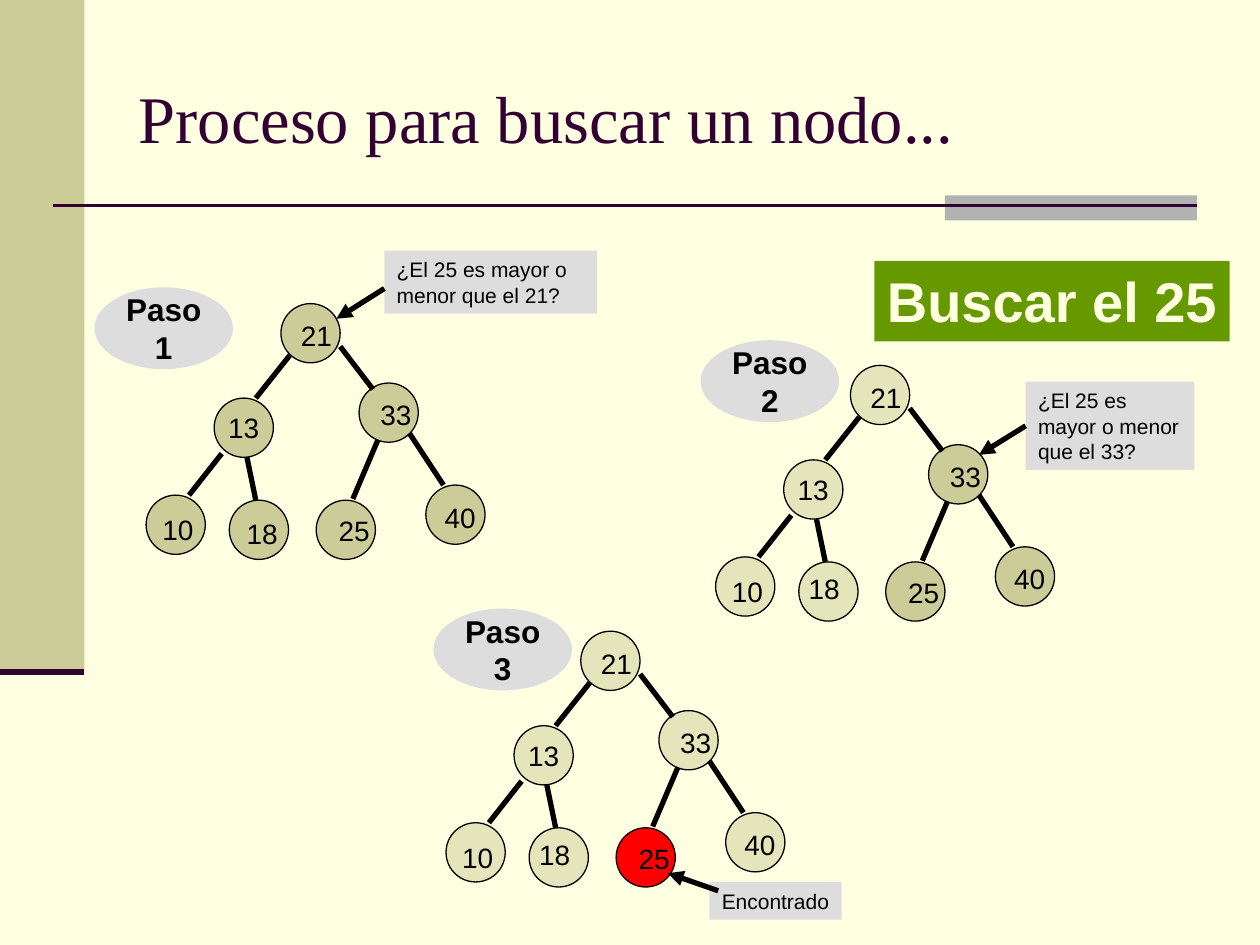
from dataclasses import dataclass, field
from typing import Optional

from pptx import Presentation
from pptx.dml.color import RGBColor
from pptx.enum.shapes import MSO_CONNECTOR as Connector, MSO_SHAPE as Preset
from pptx.enum.text import MSO_ANCHOR as Anchor, PP_ALIGN as Align
from pptx.oxml.ns import qn
from pptx.util import Inches, Pt
from lxml.etree import SubElement

CREAM = RGBColor(0xFF, 0xFF, 0xE1)
KHAKI = RGBColor(0xCC, 0xCC, 0x99)
PLUM = RGBColor(0x33, 0x00, 0x33)
GRAY = RGBColor(0xB2, 0xB2, 0xB2)
PALE_GRAY = RGBColor(0xDD, 0xDD, 0xDD)
GREEN = RGBColor(0x66, 0x99, 0x00)
RED = RGBColor(0xFF, 0x00, 0x00)
BLACK = RGBColor(0x00, 0x00, 0x00)
NODE_SIZE = 0.47
LABEL_HEIGHT = 0.37

Point = tuple[float, float]
Box = tuple[float, float, float, float]


@dataclass(frozen=True)
class Node:
    value: int
    offset: Point
    label_offset: Optional[Point] = None
    label_width: float = 0.54


@dataclass(frozen=True)
class Step:
    number: int
    root: Point
    badge: Point
    callout: Box
    question: str
    arrow: tuple[Point, Point]
    arrow_joined: bool = False
    active: frozenset[int] = frozenset()
    found: Optional[int] = None
    label_shifts: dict[int, Point] = field(default_factory=dict)


NODES = [
    Node(21, (0, 0), (0.06, 0.07), 0.47),
    Node(13, (-0.53, 0.75)),
    Node(33, (0.62, 0.63), (0.69, 0.7), 0.6),
    Node(10, (-1.07, 1.52), (-1.04, 1.61)),
    Node(18, (-0.41, 1.56), (-0.43, 1.59)),
    Node(25, (0.28, 1.56), (0.36, 1.62)),
    Node(40, (1.15, 1.44), (1.2, 1.51), 0.47),
]
EDGES = [
    ((0.07, 0.41), (-0.2, 0.75)),
    ((-0.47, 1.19), (-0.73, 1.52)),
    ((0.47, 0.34), (0.73, 0.68)),
    ((1.02, 1.03), (1.29, 1.44)),
    ((-0.27, 1.22), (-0.2, 1.56)),
    ((0.77, 1.08), (0.57, 1.55)),
]
STEPS = [
    Step(1, (2.23, 2.41), (0.75, 2.28), (3.05, 1.99, 1.69, 0.5),
         "¿El 25 es mayor o menor que el 21?", ((3.05, 2.29), (2.67, 2.53)),
         active=frozenset(node.value for node in NODES),
         label_shifts={18: (0.06, 0.05)}),
    Step(2, (6.75, 2.9), (5.56, 2.7), (8.14, 3.03, 1.34, 0.7),
         "¿El 25 es mayor o menor que el 33?", ((8.14, 3.37), (7.77, 3.61)),
         arrow_joined=True, active=frozenset({33, 25, 40})),
    Step(3, (4.61, 5.01), (3.44, 4.83), (5.63, 7, 1.05, 0.3),
         "Encontrado", ((5.7, 7.07), (5.3, 6.93)), found=25),
]


def moved(point: Point, offset: Point) -> Point:
    return point[0] + offset[0], point[1] + offset[1]


def add_preset(shapes, preset: Preset, box: Box, fill: RGBColor,
               outlined: bool = False, alpha: Optional[int] = None):
    shape = shapes.add_shape(preset, *map(Inches, box))
    shape.shadow.inherit = False
    shape.fill.solid()
    shape.fill.fore_color.rgb = fill
    if alpha is not None:
        color = shape.element.spPr.find(f"{qn('a:solidFill')}/{qn('a:srgbClr')}")
        SubElement(color, qn("a:alpha"), val=str(alpha * 1000))
    if outlined:
        shape.line.color.rgb = BLACK
        shape.line.width = Pt(0.75)
    else:
        shape.line.fill.background()
    return shape


def add_line(shapes, start: Point, end: Point, color: RGBColor = BLACK,
             width: float = 3, arrow: bool = False):
    line = shapes.add_connector(Connector.STRAIGHT, *map(Inches, (*start, *end)))
    line.line.color.rgb = color
    line.line.width = Pt(width)
    if arrow:
        SubElement(line.line._get_or_add_ln(), qn("a:tailEnd"), type="triangle")
    SubElement(line.element.spPr, qn("a:effectLst"))
    return line


def write(shape, text: str, size: float, color: RGBColor = BLACK,
          bold: bool = False, align: Align = Align.LEFT, anchor: Anchor = Anchor.TOP,
          wrap: bool = True, font_name: str = "Arial") -> None:
    frame = shape.text_frame
    frame.text = text
    frame.word_wrap = wrap
    frame.vertical_anchor = anchor
    for paragraph in frame.paragraphs:
        paragraph.alignment = align
        paragraph.font.name = font_name
        paragraph.font.size = Pt(size)
        paragraph.font.bold = bold
        paragraph.font.color.rgb = color


def add_node(shapes, step: Step, node: Node) -> None:
    fill = RED if node.value == step.found else KHAKI
    solid = node.value in step.active or node.value == step.found
    circle = add_preset(shapes, Preset.OVAL,
                        (*moved(step.root, node.offset), NODE_SIZE, NODE_SIZE),
                        fill, outlined=True, alpha=None if solid else 50)
    if node.label_offset is None:
        write(circle, str(node.value), 16, align=Align.CENTER,
              anchor=Anchor.MIDDLE, wrap=False)


def add_label(shapes, step: Step, node: Node) -> None:
    if node.label_offset is None:
        return
    position = moved(moved(step.root, node.label_offset),
                     step.label_shifts.get(node.value, (0, 0)))
    label = shapes.add_textbox(*map(Inches, (*position, node.label_width, LABEL_HEIGHT)))
    write(label, str(node.value), 16)


def add_step(slide, step: Step) -> None:
    shapes = slide.shapes.add_group_shape().shapes
    for node in NODES:
        add_node(shapes, step, node)
    for start, end in EDGES:
        add_line(shapes, moved(step.root, start), moved(step.root, end))
    for node in NODES:
        add_label(shapes, step, node)
    callout = add_preset(shapes, Preset.RECTANGLE, step.callout, PALE_GRAY)
    write(callout, step.question, 12)
    arrow = add_line(shapes, *step.arrow, arrow=True)
    if step.arrow_joined:
        arrow.begin_connect(callout, 1)
    badge = add_preset(shapes, Preset.OVAL, (*step.badge, 1.1, 0.65), PALE_GRAY)
    write(badge, f"Paso\n{step.number}", 18, bold=True, align=Align.CENTER,
          anchor=Anchor.MIDDLE, wrap=False)


def add_decoration(slide) -> None:
    shapes = slide.shapes
    add_preset(shapes, Preset.RECTANGLE, (0, 0, 0.67, 5.33), KHAKI)
    add_preset(shapes, Preset.RECTANGLE, (7.5, 1.55, 2, 0.2), GRAY)
    add_line(shapes, (0.42, 1.63), (9.5, 1.63), PLUM, 1.5)
    add_line(shapes, (0, 5.33), (0.67, 5.33), PLUM, 3.5)


def main() -> None:
    presentation = Presentation()
    presentation.slide_width = Inches(10)
    presentation.slide_height = Inches(7.5)
    slide = presentation.slides.add_slide(presentation.slide_layouts[5])
    slide.background.fill.solid()
    slide.background.fill.fore_color.rgb = CREAM
    add_decoration(slide)
    title = slide.shapes.title
    title.left, title.top, title.width, title.height = map(Inches, (1, 0.3, 8.5, 1.25))
    write(title, "Proceso para buscar un nodo...", 38, PLUM,
          anchor=Anchor.MIDDLE, font_name="Times New Roman")
    goal = add_preset(slide.shapes, Preset.RECTANGLE, (6.94, 2.07, 2.82, 0.64), GREEN)
    write(goal, "Buscar el 25", 32, CREAM, bold=True, wrap=False)
    for step in STEPS:
        add_step(slide, step)
    presentation.save("out.pptx")


if __name__ == "__main__":
    main()
